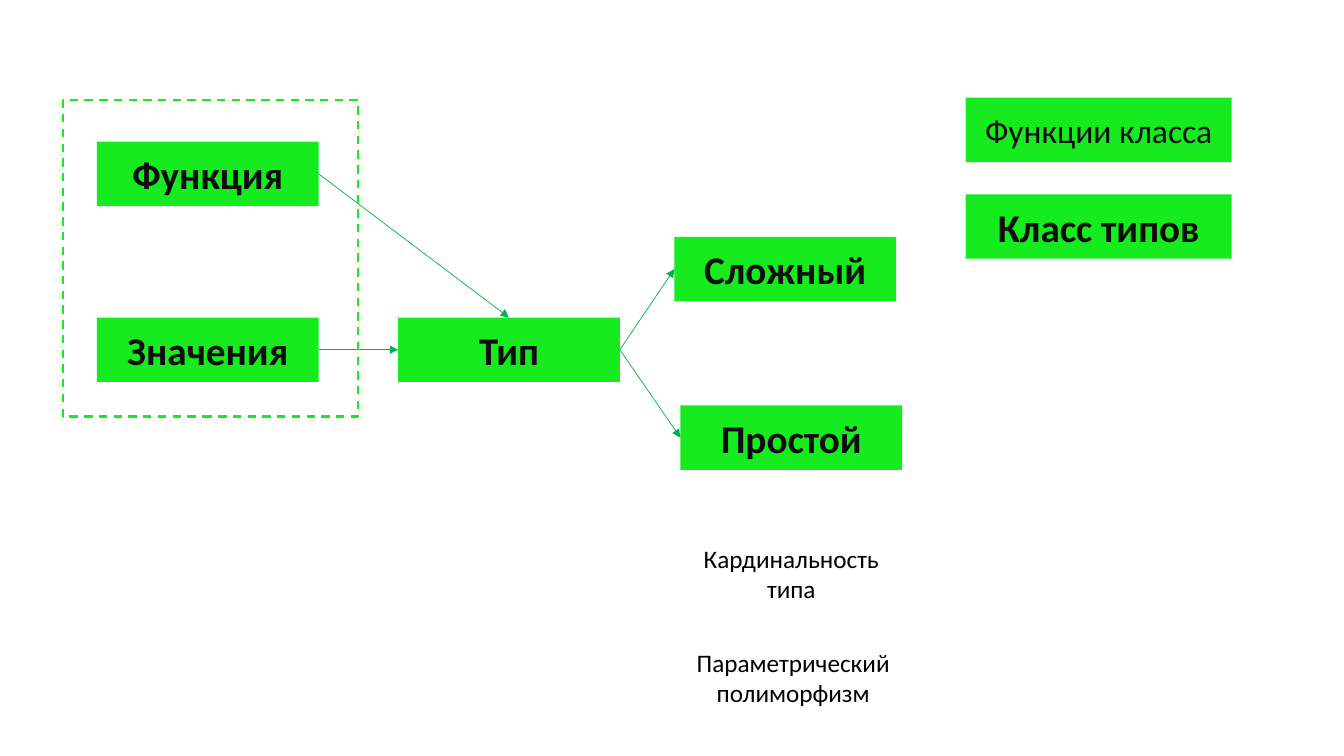
"""Builds the slide that relates functions, values, types and type classes."""
from collections import namedtuple

from lxml import etree
from pptx import Presentation
from pptx.dml.color import RGBColor
from pptx.enum import dml, shapes, text
from pptx.oxml.ns import qn
from pptx.util import Pt

Theme = namedtuple("Theme", "font box arrow box_text note_text concept_size member_size note_size")
theme = Theme("Calibri", RGBColor(0x15, 0xEB, 0x1F), RGBColor(0x00, 0xB0, 0x50),
              RGBColor(0x0D, 0x0D, 0x0D), RGBColor(0, 0, 0), 28, 24, 18)
TOP, LEFT, BOTTOM, RIGHT = range(4)


def write(holder, wording, size, color, bold=False):
    frame = holder.text_frame
    frame.word_wrap = True
    frame.text = wording
    paragraph = frame.paragraphs[0]
    paragraph.alignment = text.PP_ALIGN.CENTER
    font = paragraph.runs[0].font
    font.name, font.size, font.bold = theme.font, Pt(size), bold
    font.color.rgb = color


def add_rectangle(left, top, width, height):
    rectangle = slide.shapes.add_shape(
        shapes.MSO_SHAPE.RECTANGLE, Pt(left), Pt(top), Pt(width), Pt(height))
    rectangle.shadow.inherit = False
    return rectangle


deck = Presentation()
deck.slide_width, deck.slide_height = Pt(960), Pt(540)
slide = deck.slides.add_slide(deck.slide_layouts[6])

concept_width, class_width, box_height = 158.4, 190, 46
value_left, class_left, type_top = 69.2, 689.8, 226.8
concepts = {}
for wording, left, top, width, size, bold in [
    ("Функция", value_left, 101.2, concept_width, theme.concept_size, True),
    ("Значения", value_left, type_top, concept_width, theme.concept_size, True),
    ("Тип", 284.4, type_top, concept_width, theme.concept_size, True),
    ("Сложный", 481.7, 169.2, concept_width, theme.concept_size, True),
    ("Простой", 486, 289.6, concept_width, theme.concept_size, True),
    ("Функции класса", class_left, 69.8, class_width, theme.member_size, False),
    ("Класс типов", class_left, 138.8, class_width, theme.concept_size, True),
]:
    concept = add_rectangle(left, top, width, box_height)
    concept.fill.solid()
    concept.fill.fore_color.rgb = theme.box
    concept.line.fill.background()
    concept.text_frame.vertical_anchor = text.MSO_ANCHOR.MIDDLE
    write(concept, wording, size, theme.box_text, bold)
    concepts[wording] = concept

for source, target, entry in [
    ("Функция", "Тип", TOP),
    ("Значения", "Тип", LEFT),
    ("Тип", "Сложный", LEFT),
    ("Тип", "Простой", LEFT),
]:
    arrow = slide.shapes.add_connector(shapes.MSO_CONNECTOR.STRAIGHT, 0, 0, 0, 0)
    arrow.begin_connect(concepts[source], RIGHT)
    arrow.end_connect(concepts[target], entry)
    arrow.line.color.rgb = theme.arrow
    arrow.line.width = Pt(0.5)
    etree.SubElement(arrow.line._get_or_add_ln(), qn("a:tailEnd"), type="triangle")
    etree.SubElement(arrow._element.spPr, qn("a:effectLst"))

value_group = add_rectangle(44.8, 71.5, 211, 226)
value_group.fill.background()
value_group.line.color.rgb = theme.box
value_group.line.width = Pt(1.5)
value_group.line.dash_style = dml.MSO_LINE.DASH

for wording, left, top in [
    ("Кардинальность типа", 488.2, 384.4),
    ("Параметрический полиморфизм", 489.6, 458.8),
]:
    note = slide.shapes.add_textbox(Pt(left), Pt(top), Pt(154), Pt(51))
    note.text_frame.auto_size = text.MSO_AUTO_SIZE.SHAPE_TO_FIT_TEXT
    write(note, wording, theme.note_size, theme.note_text)

deck.save("out.pptx")
